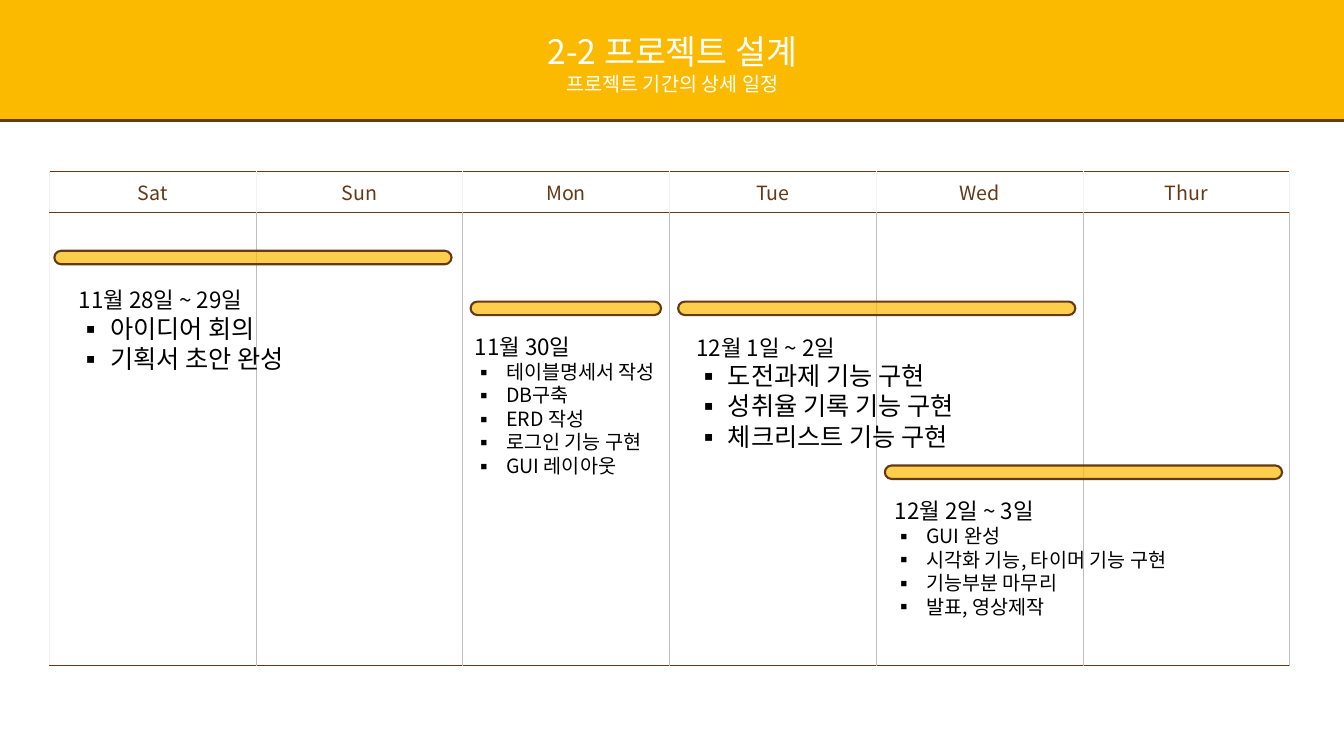
from dataclasses import dataclass

from lxml.etree import SubElement
from pptx import Presentation
from pptx.dml.color import RGBColor
from pptx.enum.shapes import MSO_SHAPE
from pptx.enum.text import MSO_ANCHOR, MSO_AUTO_SIZE, PP_ALIGN
from pptx.oxml.ns import qn
from pptx.util import Cm, Pt


@dataclass(frozen=True)
class Theme:
    """Colours, font and type sizes of the schedule slide."""
    yellow: str = "FBBA00"
    brown: str = "643916"
    white: str = "FFFFFF"
    black: str = "000000"
    pale_grid: str = "F2F2F2"
    grid: str = "BFBFBF"
    font: str = "Noto Sans CJK KR"
    title: int = 24
    large: int = 18
    date: int = 16
    small: int = 14


THEME = Theme()
DAYS = ["Sat", "Sun", "Mon", "Tue", "Wed", "Thur"]
COLUMN = 5.21
BAR_HEIGHT = 0.34
BAR_GAP = 0.41
INDENT = 0.79
STAGES = [
    {"bar": (1.37, 6.32), "days": 2, "note": (1.73, 7.09, 7.7, 2.57),
     "date": "11월 28일 ~ 29일", "size": THEME.large,
     "tasks": ["아이디어 회의", "기획서 초안 완성"]},
    {"bar": (11.86, 7.6), "days": 1, "note": (11.71, 8.26, 5.61, 3.94),
     "date": "11월 30일", "size": THEME.small,
     "tasks": ["테이블명세서 작성", "DB구축", "ERD 작성", "로그인 기능 구현", "GUI 레이아웃"]},
    {"bar": (17.09, 7.6), "days": 2, "note": (17.3, 8.28, 9.78, 3.25),
     "date": "12월 1일 ~ 2일", "size": THEME.large,
     "tasks": ["도전과제 기능 구현", "성취율 기록 기능 구현", "체크리스트 기능 구현"]},
    {"bar": (22.3, 11.73), "days": 2, "note": (22.3, 12.4, 10.64, 3.33),
     "date": "12월 2일 ~ 3일", "size": THEME.small,
     "tasks": ["GUI 완성", "시각화 기능, 타이머 기능 구현", "기능부분 마무리", "발표, 영상제작"]},
]


def apply_format(target, values):
    """Set every attribute named in values on the target."""
    for name, value in values.items():
        setattr(target, name, value)


def write_line(para, text, size, color, align=PP_ALIGN.LEFT):
    """Write one formatted line of text into a paragraph."""
    apply_format(para, {"alignment": align, "space_before": Pt(0),
                        "space_after": Pt(0), "line_spacing": 1.0})
    span = para.add_run()
    apply_format(span, {"text": text})
    apply_format(span.font, {"name": THEME.font, "size": Pt(size), "bold": False})
    span.font.color.rgb = RGBColor.from_string(color)
    SubElement(span.font._element, qn("a:ea"), typeface=THEME.font)


def set_bullet(para, bulleted):
    """Give a paragraph a square bullet with a hanging indent, or none."""
    properties = para._p.get_or_add_pPr()
    indent = Cm(INDENT) if bulleted else 0
    properties.set("marL", str(indent))
    properties.set("indent", str(-indent))
    if bulleted:
        SubElement(properties, qn("a:buFont"), typeface=THEME.font)
        SubElement(properties, qn("a:buChar"), char="▪")
    else:
        SubElement(properties, qn("a:buNone"))


def place_text(box, area):
    """Move a placeholder to the front at the given area and clear its layout habits."""
    left, top, width, height = map(Cm, area)
    apply_format(box, {"left": left, "top": top, "width": width, "height": height})
    apply_format(box.text_frame, {"word_wrap": True,
                                  "vertical_anchor": MSO_ANCHOR.TOP,
                                  "auto_size": MSO_AUTO_SIZE.SHAPE_TO_FIT_TEXT})
    box.element.getparent().append(box.element)
    return box.text_frame


def add_block(page, kind, area, color):
    """Add a plain filled shape without line."""
    block = page.shapes.add_shape(kind, *map(Cm, area))
    block.shadow.inherit = False
    block.fill.solid()
    block.fill.fore_color.rgb = RGBColor.from_string(color)
    block.line.fill.background()
    return block


def add_band(page, width):
    """Add the header band with its hard brown lower edge."""
    band = add_block(page, MSO_SHAPE.RECTANGLE, (0, 0, width, 3), THEME.yellow)
    effects = band.element.spPr.find(qn("a:effectLst"))
    shadow = SubElement(effects, qn("a:outerShdw"), blurRad="0", dist=str(Pt(2)),
                        dir="5400000", algn="t", rotWithShape="0")
    SubElement(shadow, qn("a:srgbClr"), val=THEME.brown)


def add_bar(page, left, top, days):
    """Add a translucent rounded bar spanning a number of days."""
    width = days * COLUMN - BAR_GAP
    bar = add_block(page, MSO_SHAPE.ROUNDED_RECTANGLE,
                    (left, top, width, BAR_HEIGHT), THEME.yellow)
    bar.adjustments[0] = 0.5
    color = bar.element.spPr.find(qn("a:solidFill")).find(qn("a:srgbClr"))
    SubElement(color, qn("a:alpha"), val="70000")
    bar.line.color.rgb = RGBColor.from_string(THEME.brown)
    bar.line.width = Pt(1.5)


def set_borders(cell, borders):
    """Draw the cell borders given as side: (colour, points)."""
    properties = cell._tc.get_or_add_tcPr()
    for side, (color, points) in borders.items():
        line = SubElement(properties, qn(f"a:ln{side}"), w=str(Pt(points)))
        fill = SubElement(line, qn("a:solidFill"))
        SubElement(fill, qn("a:srgbClr"), val=color)


def add_calendar(page):
    """Add the calendar table with one column for each day."""
    frame = page.shapes.add_table(2, len(DAYS), Cm(1.24), Cm(4.32),
                                  Cm(COLUMN * len(DAYS)), Cm(12.44))
    calendar = frame.table
    apply_format(calendar, {"first_row": False, "horz_banding": False})
    for column in calendar.columns:
        column.width = Cm(COLUMN)
    rule = (THEME.brown, 1)
    for row, (height, grid) in enumerate([(1.04, THEME.pale_grid), (11.4, THEME.grid)]):
        calendar.rows[row].height = Cm(height)
        for column, day in enumerate(DAYS):
            cell = calendar.cell(row, column)
            left = grid if column else THEME.pale_grid
            set_borders(cell, {"L": (left, 0.5), "R": (grid, 0.5), "T": rule, "B": rule})
            cell.fill.background()
            cell.vertical_anchor = MSO_ANCHOR.MIDDLE
            if row == 0:
                write_line(cell.text_frame.paragraphs[0], day, THEME.small,
                           THEME.brown, PP_ALIGN.CENTER)


def fill_title(box):
    """Write the heading and its subtitle."""
    frame = place_text(box, (11.33, 0.66, 11.23, 1.88))
    write_line(frame.paragraphs[0], "2-2 프로젝트 설계", THEME.title,
               THEME.white, PP_ALIGN.CENTER)
    write_line(frame.add_paragraph(), "프로젝트 기간의 상세 일정", THEME.small,
               THEME.white, PP_ALIGN.CENTER)


def fill_note(box, stage):
    """Write the date and the task list of a stage."""
    frame = place_text(box, stage["note"])
    date = frame.paragraphs[0]
    set_bullet(date, False)
    write_line(date, stage["date"], THEME.date, THEME.black)
    for task in stage["tasks"]:
        para = frame.add_paragraph()
        set_bullet(para, True)
        write_line(para, task, stage["size"], THEME.black)


def main():
    """Build and save the schedule slide."""
    deck = Presentation()
    apply_format(deck, {"slide_width": Cm(33.87), "slide_height": Cm(19.05)})
    page = deck.slides.add_slide(deck.slide_layouts.get_by_name("Comparison"))
    title, *notes = list(page.placeholders)
    add_band(page, 33.87)
    add_calendar(page)
    for stage, note in zip(STAGES, notes):
        add_bar(page, *stage["bar"], stage["days"])
        fill_note(note, stage)
    fill_title(title)
    deck.save("out.pptx")


if __name__ == "__main__":
    main()
